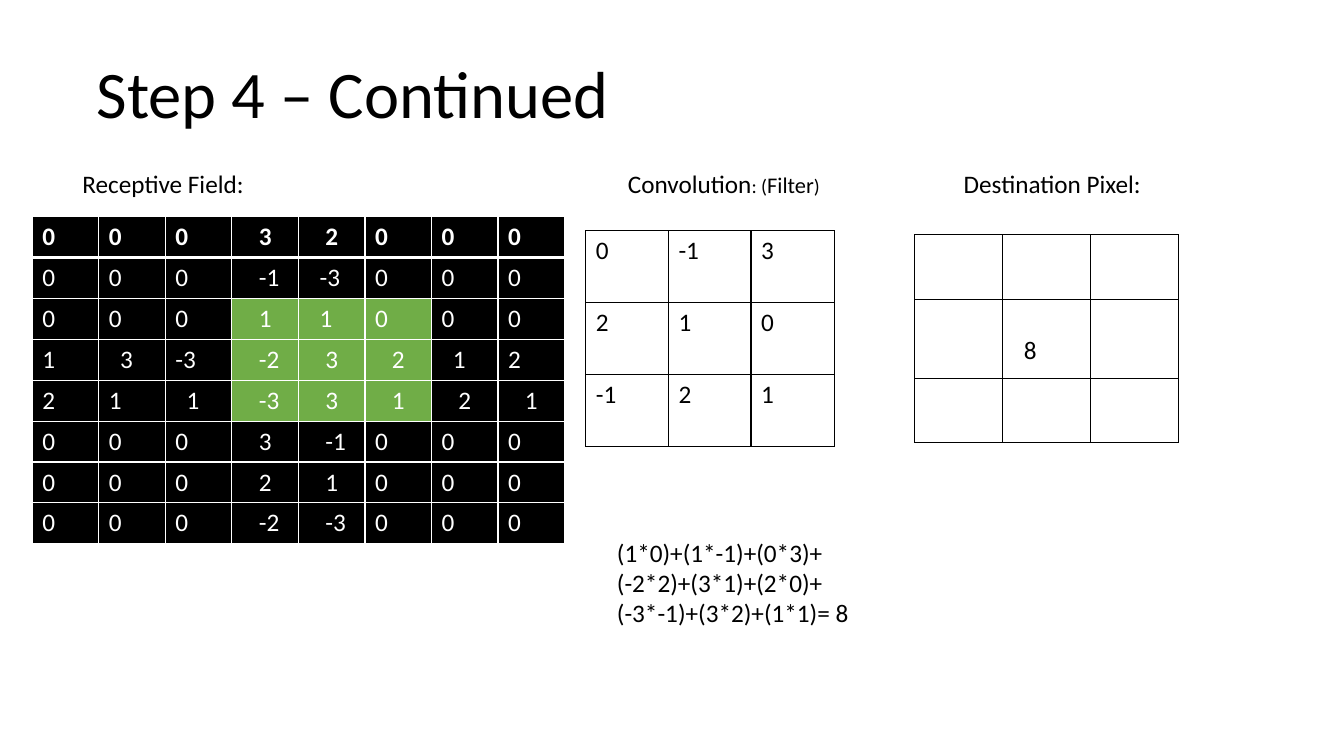
from lxml import etree
from pptx import Presentation
from pptx.dml.color import RGBColor
from pptx.enum.text import MSO_ANCHOR as Anchor, MSO_AUTO_SIZE as AutoSize, PP_ALIGN as Align
from pptx.oxml.ns import qn
from pptx.util import Inches, Pt

FONT = "Calibri"
BLACK, WHITE, GREEN = "000000", "FFFFFF", "70AD47"
BODY_SIZE = 18
SPACE = 0.056  # inches per step of cell indent
MARGIN = 0.1

FIELD_ROWS = [
    [0, 0, 0, 3, 2, 0, 0, 0],
    [0, 0, 0, -1, -3, 0, 0, 0],
    [0, 0, 0, 1, 1, 0, 0, 0],
    [1, 3, -3, -2, 3, 2, 1, 2],
    [2, 1, 1, -3, 3, 1, 2, 1],
    [0, 0, 0, 3, -1, 0, 0, 0],
    [0, 0, 0, 2, 1, 0, 0, 0],
    [0, 0, 0, -2, -3, 0, 0, 0],
]
FIELD_INDENTS = ["00033000", "00032000", "00032000", "02033320",
                 "00233333", "00033000", "00033000", "00033000"]
FILTER_ROWS = [[0, -1, 3], [2, 1, 0], [-1, 2, 1]]
DESTINATION_ROWS = [["", "", ""], ["", 8, ""], ["", "", ""]]
EXPRESSION = ["(1*0)+(1*-1)+(0*3)+", "(-2*2)+(3*1)+(2*0)+", "(-3*-1)+(3*2)+(1*1)= 8"]
LABEL_RUNS = [("Receptive Field:\tConvolution", 18), (": (", 14), ("Filter", 16),
              (")", 14), ("\tDestination Pixel:", 18)]
LABEL_TABS = [5.41, 8.74]


def color(value):
    return RGBColor.from_string(value)


def add_run(paragraph, text, size=BODY_SIZE, text_color=BLACK, bold=False):
    run = paragraph.add_run()
    run.text = text
    for name, value in {"name": FONT, "size": Pt(size), "bold": bold}.items():
        setattr(run.font, name, value)
    run.font.color.rgb = color(text_color)


def add_border(cell, side, line_color, width):
    """Draw one cell edge; side is L, R, T or B."""
    properties = cell._tc.get_or_add_tcPr()
    line = etree.SubElement(properties, qn(f"a:ln{side}"), w=str(Pt(width)))
    fill = etree.SubElement(line, qn("a:solidFill"))
    etree.SubElement(fill, qn("a:srgbClr"), val=line_color)


def add_grid(slide, box, rows, widths, heights, line_color, line_width):
    """Add an unfilled, bordered table and return it without text."""
    shape = slide.shapes.add_table(len(rows), len(rows[0]), *map(Inches, box))
    table = shape.table
    table.first_row = table.horz_banding = False
    for column, width in zip(table.columns, widths):
        column.width = Inches(width)
    for row, height in zip(table.rows, heights):
        row.height = Inches(height)
    for cell in table.iter_cells():
        for side in "LRTB":
            add_border(cell, side, line_color, line_width)
        cell.fill.background()
    return table


def write_cell(cell, value, indent=0, **text_format):
    cell.margin_left = Inches(MARGIN + indent * SPACE)
    add_run(cell.text_frame.paragraphs[0], str(value), **text_format)


def add_receptive_field(slide, left, top, width, height):
    count = len(FIELD_ROWS)
    table = add_grid(slide, (left, top, width, height), FIELD_ROWS,
                     [width / count] * count, [height / count] * count, WHITE, 1)
    for row, (values, indents) in enumerate(zip(FIELD_ROWS, FIELD_INDENTS)):
        for column, (value, indent) in enumerate(zip(values, indents)):
            cell = table.cell(row, column)
            in_window = 2 <= row <= 4 and 3 <= column <= 5
            cell.fill.solid()
            cell.fill.fore_color.rgb = color(GREEN if in_window else BLACK)
            write_cell(cell, value, int(indent), text_color=WHITE, bold=row == 0)
    for column in range(count):
        for row, side in ((0, "lnB"), (1, "lnT")):
            border = table.cell(row, column)._tc.tcPr.find(qn(f"a:{side}"))
            border.set("w", str(Pt(3)))


def add_filter(slide, left, top, width, height):
    table = add_grid(slide, (left, top, width, height), FILTER_ROWS,
                     [0.82, 0.82, width - 1.64], [height / 3] * 3, BLACK, 1)
    for row, values in enumerate(FILTER_ROWS):
        for column, value in enumerate(values):
            write_cell(table.cell(row, column), value)


def add_destination(slide, left, top, width, height):
    outer = 0.64
    table = add_grid(slide, (left, top, width, height), DESTINATION_ROWS,
                     [width / 3] * 3, [outer, height - 2 * outer, outer], BLACK, 0.75)
    center = table.cell(1, 1)
    write_cell(center, DESTINATION_ROWS[1][1], indent=2)
    center.margin_top = Inches(0.36)


def add_title(slide, left, top, width, height):
    title = slide.shapes.title
    place = {"left": left, "top": top, "width": width, "height": height}
    for name, value in place.items():
        setattr(title, name, Inches(value))
    frame = title.text_frame
    frame_format = {"word_wrap": True, "auto_size": AutoSize.NONE,
                    "vertical_anchor": Anchor.TOP}
    for name, value in frame_format.items():
        setattr(frame, name, value)
    paragraph = frame.paragraphs[0]
    paragraph.alignment = Align.LEFT
    add_run(paragraph, "Step 4 – Continued", 47.5)


def add_text_frame(slide, box):
    frame = slide.shapes.add_textbox(*map(Inches, box)).text_frame
    frame.word_wrap = True
    return frame


def add_labels(slide, *box):
    paragraph = add_text_frame(slide, box).paragraphs[0]
    tabs = etree.SubElement(paragraph._p.get_or_add_pPr(), qn("a:tabLst"))
    for position in LABEL_TABS:
        etree.SubElement(tabs, qn("a:tab"), pos=str(Inches(position)), algn="l")
    for text, size in LABEL_RUNS:
        add_run(paragraph, text, size)


def add_expression(slide, *box):
    frame = add_text_frame(slide, box)
    for index, line in enumerate(EXPRESSION):
        paragraph = frame.add_paragraph() if index else frame.paragraphs[0]
        add_run(paragraph, line)


def main():
    presentation = Presentation()
    presentation.slide_width = Inches(13.33)
    presentation.slide_height = Inches(7.5)
    slide = presentation.slides.add_slide(presentation.slide_layouts.get_by_name("Title Only"))
    add_receptive_field(slide, 0.32, 2.15, 5.28, 3.2)
    add_filter(slide, 5.81, 2.29, 2.47, 2.14)
    add_destination(slide, 9.07, 2.33, 2.62, 2.06)
    add_title(slide, 0.86, 0.47, 10.68, 0.9)
    add_labels(slide, 0.72, 1.62, 12.13, 0.71)
    add_expression(slide, 6.02, 5.28, 6.58, 1.01)
    presentation.save("out.pptx")


if __name__ == "__main__":
    main()
